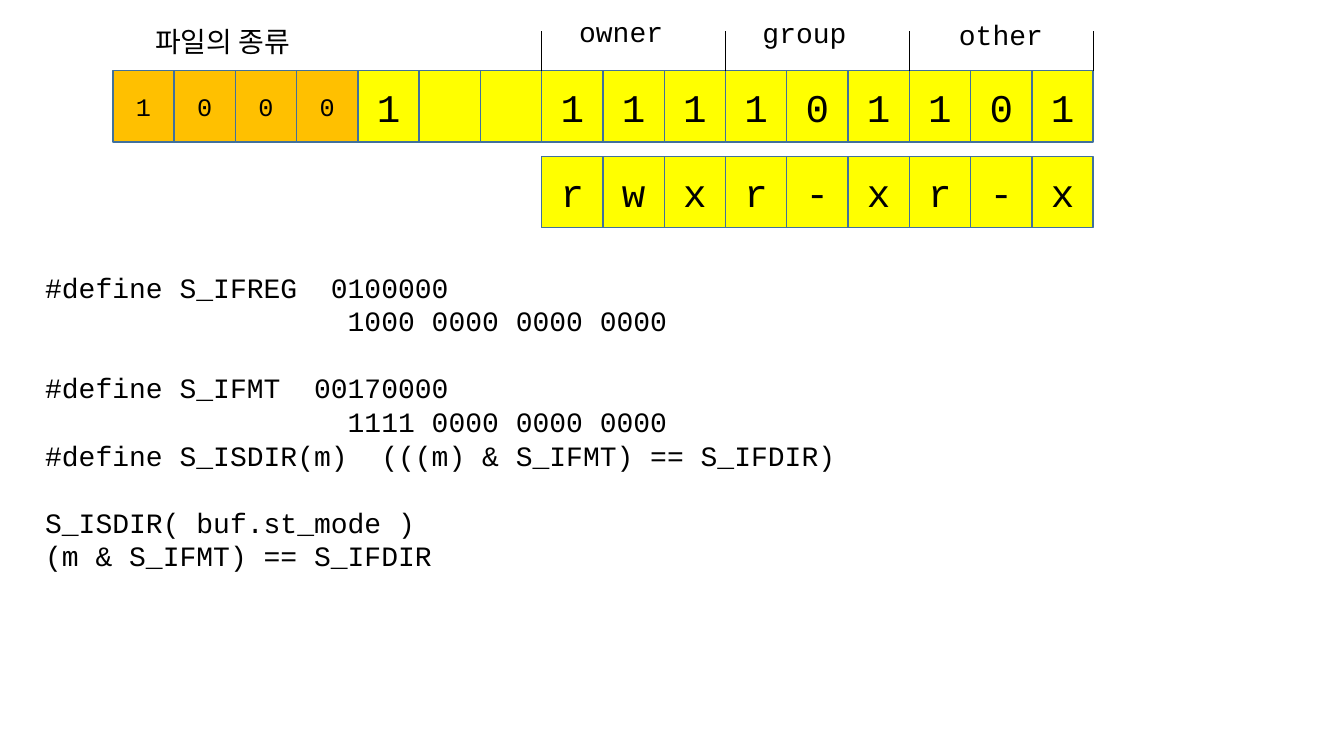
import pptx
import pptx.util
import pptx.dml.color
import pptx.enum.shapes
import pptx.enum.text
import pptx.oxml.ns
import lxml.etree

Inches = pptx.util.Inches
Pt = pptx.util.Pt

TYPE_BITS = "1000"
MODE_BITS = "1  111101101"
PERMISSIONS = "rwxr-xr-x"
LABELS = [
    ("파일의 종류", 1.44, 0.19, 1.62),
    ("owner", 5.65, 0.09, 1.04),
    ("group", 7.47, 0.1, 1.04),
    ("other", 9.42, 0.12, 1.04),
]
CODE_BLOCKS = [
    ["#define S_IFREG  0100000",
     "                  1000 0000 0000 0000"],
    ["#define S_IFMT  00170000",
     "                  1111 0000 0000 0000",
     "#define S_ISDIR(m)  (((m) & S_IFMT) == S_IFDIR)"],
    ["S_ISDIR( buf.st_mode )",
     "(m & S_IFMT) == S_IFDIR"],
]

COLORS = {"type": "FFC000", "mode": "FFFF00", "border": "41719C", "ink": "000000"}
FONT = "Courier New"
LEFT, RIGHT = 1.12, 10.85
CELL_W = (RIGHT - LEFT) / (len(TYPE_BITS) + len(MODE_BITS))
CELL_H = 0.71
BITS_TOP, PERMISSIONS_TOP, TICK_TOP = 0.7, 1.55, 0.31
FIRST_PERMISSION = 7
LINE_HEIGHT = 24


def rgb(name):
    return pptx.dml.color.RGBColor.from_string(COLORS[name])


def style(p, size):
    p.font.name = FONT
    p.font.size = Pt(size)
    p.font.color.rgb = rgb("ink")


def add_cells(slide, text, first, top, fill, size):
    for column, char in enumerate(text, first):
        sp = slide.shapes.add_shape(
            pptx.enum.shapes.MSO_SHAPE.RECTANGLE, Inches(LEFT + column * CELL_W),
            Inches(top), Inches(CELL_W), Inches(CELL_H))
        sp.shadow.inherit = False
        sp.fill.solid()
        sp.fill.fore_color.rgb = rgb(fill)
        sp.line.color.rgb = rgb("border")
        sp.line.width = Pt(1)
        if char != " ":
            tf = sp.text_frame
            tf.vertical_anchor = pptx.enum.text.MSO_ANCHOR.MIDDLE
            p = tf.paragraphs[0]
            p.text = char
            p.alignment = pptx.enum.text.PP_ALIGN.CENTER
            style(p, size)


def add_text(slide, blocks, left, top, width, height):
    tf = slide.shapes.add_textbox(
        Inches(left), Inches(top), Inches(width), Inches(height)).text_frame
    tf.word_wrap = False
    for b, lines in enumerate(blocks):
        for n, line in enumerate(lines):
            p = tf.paragraphs[0] if b == n == 0 else tf.add_paragraph()
            p.text = line
            p.line_spacing = Pt(LINE_HEIGHT)
            if b and n == 0:
                p.space_before = Pt(LINE_HEIGHT)
            style(p, 20)


def add_tick(slide, column):
    x = Inches(LEFT + column * CELL_W)
    line = slide.shapes.add_connector(
        pptx.enum.shapes.MSO_CONNECTOR.STRAIGHT, x, Inches(BITS_TOP), x, Inches(TICK_TOP))
    line.line.color.rgb = rgb("ink")
    line.line.width = Pt(0.5)
    lxml.etree.SubElement(line._element.spPr, pptx.oxml.ns.qn("a:effectLst"))


def main():
    prs = pptx.Presentation()
    prs.slide_width, prs.slide_height = Inches(13.34), Inches(7.5)
    slide = prs.slides.add_slide(prs.slide_layouts[6])

    add_text(slide, CODE_BLOCKS, 0.35, 2.63, 8.07, 3.1)
    add_cells(slide, TYPE_BITS, 0, BITS_TOP, "type", 18)
    add_cells(slide, MODE_BITS, len(TYPE_BITS), BITS_TOP, "mode", 28)
    add_cells(slide, PERMISSIONS, FIRST_PERMISSION, PERMISSIONS_TOP, "mode", 28)
    for column in range(FIRST_PERMISSION, FIRST_PERMISSION + len(PERMISSIONS) + 1, 3):
        add_tick(slide, column)
    for label, left, top, width in LABELS:
        add_text(slide, [[label]], left, top, width, 0.44)

    prs.save("out.pptx")


if __name__ == "__main__":
    main()
